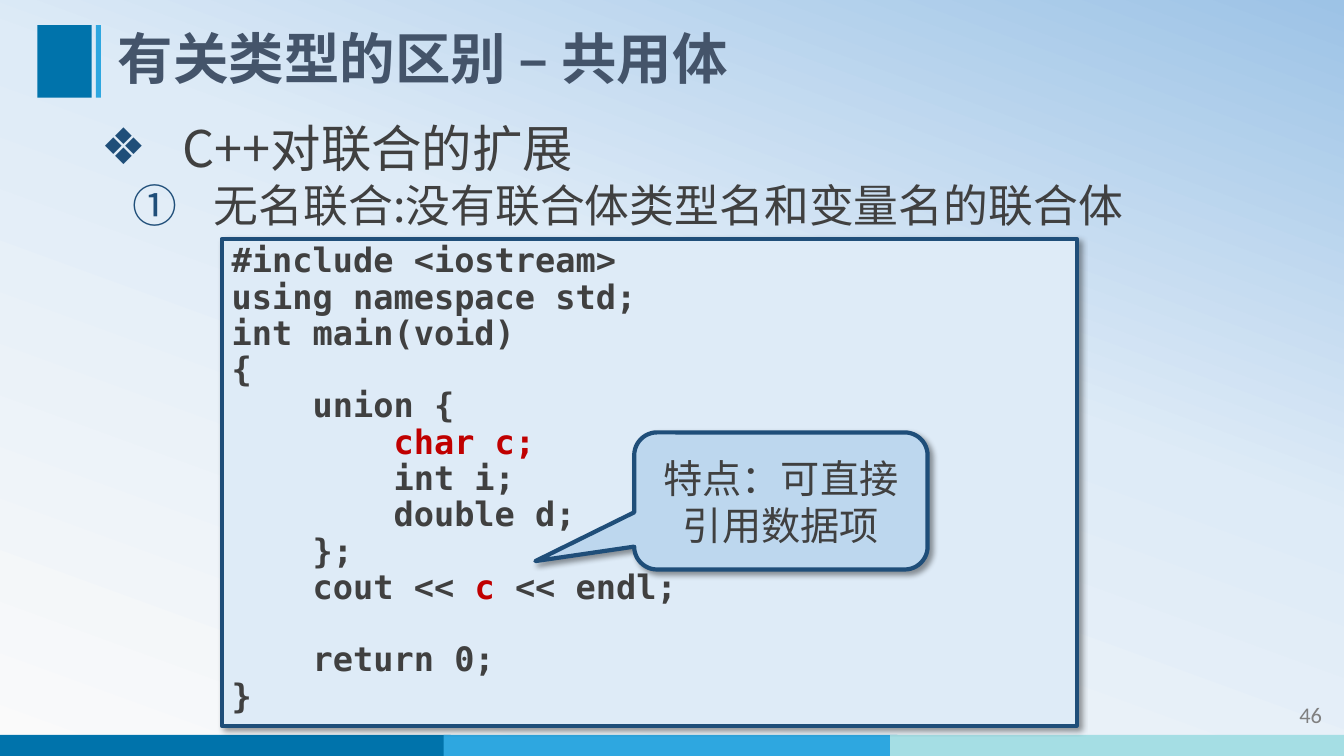
from lxml import etree
from pptx import Presentation
from pptx.dml.color import RGBColor
from pptx.enum.shapes import MSO_SHAPE as SHAPE
from pptx.enum.text import MSO_ANCHOR as ANCHOR, MSO_AUTO_SIZE as AUTO_SIZE, PP_ALIGN as ALIGN
from pptx.oxml import parse_xml
from pptx.oxml.ns import nsdecls, qn
from pptx.util import Emu, Inches, Pt

COLORS = {
    "dark blue": "0073AB", "blue": "2EA7E0", "teal": "A5DEE4",
    "title": "44546A", "text": "404040", "accent": "1F4E79", "red": "C00000",
    "code fill": "DEEBF7", "callout fill": "BDD7EE", "gray": "808080",
}
BACKGROUND = [(0, "FAFAFA"), (58, "DEEBF7"), (100, "9DC3E6")]
HAN, MONO, LATIN = "Noto Sans CJK SC", "DejaVu Sans Mono", "Calibri"

TITLE = "有关类型的区别 – 共用体"
# text, level, size, left margin, bullet element
POINTS = [
    ("C++对联合的扩展", 0, 36, 0.81, '<a:buChar {} char="❖"/>'),
    ("无名联合:没有联合体类型名和变量名的联合体", 1, 32, 1.12,
     '<a:buAutoNum {} type="circleNumDbPlain"/>'),
]
HANGING = 0.81
# each line is a list of (text, color) runs
CODE = [
    [("#include <iostream>", "text")],
    [("using namespace std;", "text")],
    [("int main(void)", "text")],
    [("{", "text")],
    [("    union {", "text")],
    [("        ", "text"), ("char c;", "red")],
    [("        int i;", "text")],
    [("        double d;", "text")],
    [("    };", "text")],
    [("    cout <<", "text"), (" c ", "red"), ("<< endl;", "text")],
    [],
    [("    return 0;", "text")],
    [("}", "text")],
]
CALLOUT = "特点：可直接引用数据项"
PAGE = "46"
# left, top, width, height, color
BARS = [(left, 7.29, 4.5, 0.21, color)
        for left, color in ((-0.03, "dark blue"), (4.4, "blue"), (8.83, "teal"))]
BARS += [(0.37, 0.25, 0.54, 0.72, "dark blue"), (0.95, 0.25, 0.05, 0.72, "blue")]


def rgb(name):
    return RGBColor.from_string(COLORS[name])


def style(font, face, size, color, bold=False):
    font.name, font.size, font.bold = face, Pt(size), bold
    font.color.rgb = rgb(color)


def style_runs(paragraph, face, size, color, bold=False):
    for run in paragraph.runs:
        style(run.font, face, size, color, bold)
        east_asian = etree.SubElement(run.font._element, qn("a:ea"))
        east_asian.set("typeface", face)


def place(shape, left, top, width, height):
    shape.left, shape.top = Inches(left), Inches(top)
    shape.width, shape.height = Inches(width), Inches(height)


def add_box(slide, kind, left, top, width, height, fill):
    shape = slide.shapes.add_shape(
        kind, Inches(left), Inches(top), Inches(width), Inches(height))
    shape.shadow.inherit = False
    shape.fill.solid()
    shape.fill.fore_color.rgb = rgb(fill)
    shape.line.fill.background()
    return shape


def add_panel(slide, kind, left, top, width, height, fill):
    shape = add_box(slide, kind, left, top, width, height, fill)
    shape.line.color.rgb = rgb("accent")
    shape.line.width = Pt(3)
    effects = shape._element.spPr.find(qn("a:effectLst"))
    effects.append(parse_xml(
        f'<a:outerShdw {nsdecls("a")} blurRad="{Pt(4)}" dist="{Pt(3)}" dir="2700000" '
        'algn="tl" rotWithShape="0"><a:srgbClr val="000000"><a:alpha val="40000"/>'
        '</a:srgbClr></a:outerShdw>'))
    return shape


def set_background(slide):
    stops = "".join(f'<a:gs pos="{pos * 1000}"><a:srgbClr val="{color}"/></a:gs>'
                    for pos, color in BACKGROUND)
    slide._element.cSld.insert(0, parse_xml(
        f'<p:bg {nsdecls("p", "a")}><p:bgPr><a:gradFill rotWithShape="1">'
        f'<a:gsLst>{stops}</a:gsLst><a:lin ang="{290 * 60000}" scaled="0"/>'
        '</a:gradFill><a:effectLst/></p:bgPr></p:bg>'))


def add_title(slide):
    title = slide.shapes.title
    place(title, 1.07, 0.25, 10.86, 0.72)
    frame = title.text_frame
    frame.text = TITLE
    frame.auto_size, frame.vertical_anchor = AUTO_SIZE.NONE, ANCHOR.MIDDLE
    paragraph = frame.paragraphs[0]
    paragraph.alignment, paragraph.line_spacing = ALIGN.LEFT, 0.9
    style_runs(paragraph, HAN, 39.6, "title", True)


def add_points(slide):
    body = slide.placeholders[1]
    place(body, 0.9, 1.11, 11.99, 1.92)
    frame = body.text_frame
    frame.text = "\n".join(point[0] for point in POINTS)
    frame.auto_size, frame.vertical_anchor = AUTO_SIZE.NONE, ANCHOR.TOP
    for paragraph, (_, level, size, margin, bullet) in zip(frame.paragraphs, POINTS):
        paragraph.level = level
        paragraph.space_before = Pt(0)
        properties = paragraph._element.get_or_add_pPr()
        properties.set("marL", str(Inches(margin)))
        properties.set("indent", str(-Inches(HANGING)))
        properties.append(parse_xml(
            f'<a:buClr {nsdecls("a")}><a:srgbClr val="{COLORS["accent"]}"/></a:buClr>'))
        properties.append(parse_xml(bullet.format(nsdecls("a"))))
        style_runs(paragraph, HAN, size, "text")


def add_code(slide):
    panel = add_panel(slide, SHAPE.RECTANGLE, 2.2, 2.37, 8.48, 4.83, "code fill")
    frame = panel.text_frame
    frame.vertical_anchor = ANCHOR.TOP
    frame.text = "\n".join("" for _ in CODE)
    for paragraph, runs in zip(frame.paragraphs, CODE):
        paragraph.alignment, paragraph.line_spacing = ALIGN.LEFT, 0.9
        paragraph.font.size = Pt(24)
        for text, color in runs:
            run = paragraph.add_run()
            run.text = text
            style(run.font, MONO, 24, color, True)


def add_callout(slide):
    callout = add_panel(slide, SHAPE.ROUNDED_RECTANGULAR_CALLOUT,
                        6.29, 4.29, 2.91, 1.36, "callout fill")
    for index, value in enumerate((-0.837, 0.439, 0.167)):
        callout.adjustments[index] = value
    frame = callout.text_frame
    frame.text = CALLOUT
    frame.vertical_anchor = ANCHOR.MIDDLE
    frame.paragraphs[0].alignment = ALIGN.CENTER
    style_runs(frame.paragraphs[0], HAN, 28, "text")


def add_page_number(slide):
    box = slide.shapes.add_textbox(Inches(11.62), Inches(6.91), Inches(1.59), Inches(0.4))
    frame = box.text_frame
    frame.word_wrap = True
    frame.text = PAGE
    frame.paragraphs[0].alignment = ALIGN.RIGHT
    style_runs(frame.paragraphs[0], LATIN, 16, "gray")


def main():
    presentation = Presentation()
    presentation.slide_width, presentation.slide_height = Inches(13.33), Inches(7.5)
    slide = presentation.slides.add_slide(presentation.slide_layouts[1])
    set_background(slide)
    for left, top, width, height, color in BARS:
        add_box(slide, SHAPE.RECTANGLE, left, top, width, height, color)
    add_page_number(slide)
    add_title(slide)
    add_points(slide)
    add_code(slide)
    add_callout(slide)
    presentation.save("out.pptx")


if __name__ == "__main__":
    main()
